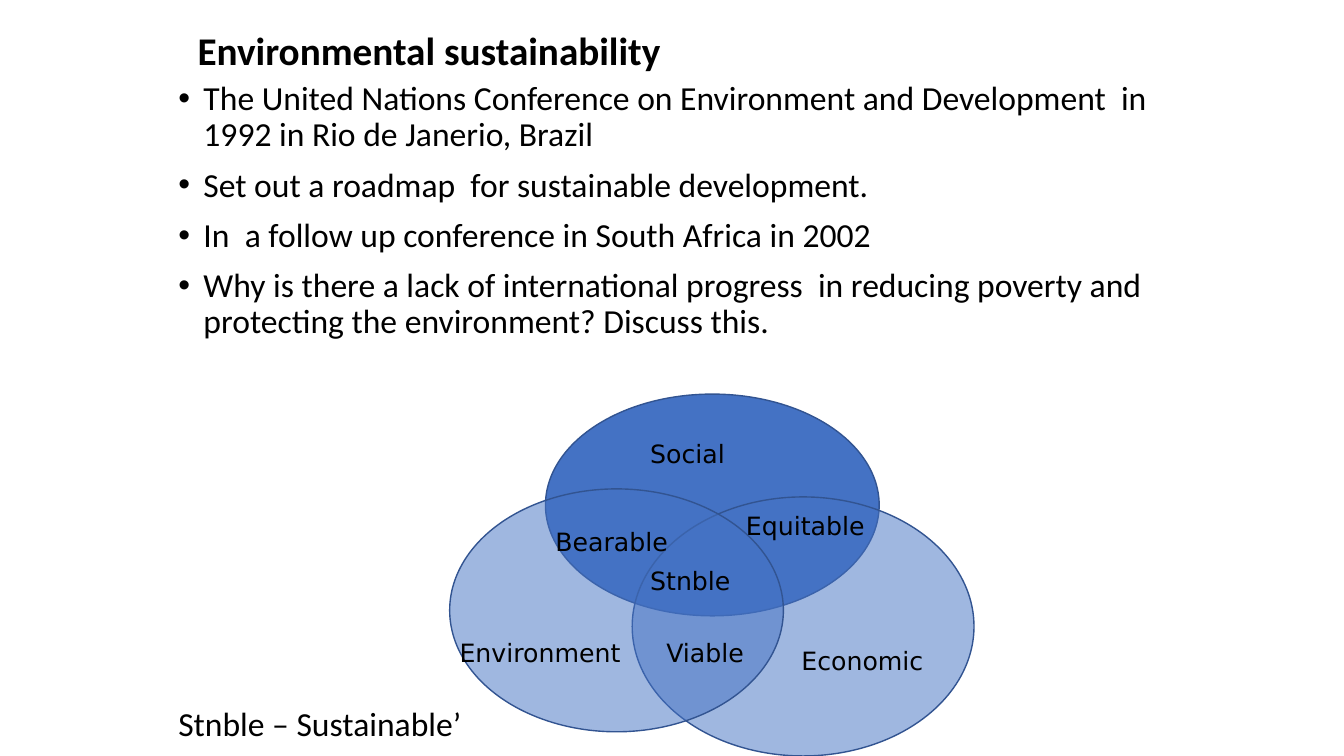
"""Build the environmental sustainability slide with its three-circle diagram."""
from lxml.etree import SubElement
from pptx import Presentation
from pptx.dml.color import RGBColor
from pptx.enum.shapes import MSO_SHAPE
from pptx.enum.text import MSO_ANCHOR, PP_ALIGN
from pptx.oxml.ns import qn
from pptx.util import Inches, Pt

TITLE = "Environmental sustainability"
POINTS = [
    "The United Nations Conference on Environment and Development  in 1992 in Rio de Janerio, Brazil",
    "Set out a roadmap  for sustainable development.",
    "In  a follow up conference in South Africa in 2002",
    "Why is there a lack of international progress  in reducing poverty and "
    "protecting the environment? Discuss this.",
]
NOTE = "Stnble – Sustainable’"
ELLIPSES = [
    ((5.41, 3.91, 3.31, 2.2), 100),
    ((6.27, 4.93, 3.39, 2.57), 51),
    ((4.46, 4.85, 3.31, 2.41), 51),
]
LABELS = [
    ("Social", 6.35, 4.3, 1.34),
    ("Bearable", 5.41, 5.17, 1.34),
    ("Equitable", 7.3, 5.01, 1.5),
    ("Stnble", 6.35, 5.56, 1.02),
    ("Viable", 6.51, 6.27, 1.02),
    ("Environment", 4.46, 6.27, 2.13),
    ("Economic", 7.85, 6.35, 1.42),
]
LABEL_HEIGHT = 0.4
BODY_LEFT, BODY_WIDTH = 1.67, 10
INK, BLUE, OUTLINE = "000000", "4472C4", "325491"


def color(value):
    return RGBColor.from_string(value)


def style(para, size, name="Calibri", bold=False, spacing=0.9):
    para.alignment = PP_ALIGN.LEFT
    para.line_spacing = spacing
    font = para.font
    font.size, font.name, font.bold = Pt(size), name, bold
    font.color.rgb = color(INK)


def add_bullet(para):
    properties = para._p.get_or_add_pPr()
    properties.set("marL", str(Inches(0.25)))
    properties.set("indent", str(-Inches(0.25)))
    SubElement(properties, qn("a:buFont")).set("typeface", "Arial")
    SubElement(properties, qn("a:buChar")).set("char", "•")


def add_text(page, place, lines, size, name="Calibri", bullets=False, spacing=0.9):
    frame = page.shapes.add_textbox(*map(Inches, place)).text_frame
    frame.word_wrap = True
    frame.text = "\n".join(lines)
    for index, para in enumerate(frame.paragraphs):
        if bullets:
            add_bullet(para)
        style(para, size, name, spacing=spacing)
        para.space_before = Pt(10 if index else 0)


def add_title(page):
    title = page.shapes.title
    title.left, title.top, title.width, title.height = map(Inches, (1.86, 0.21, 9.53, 0.63))
    title.text_frame.text = TITLE
    title.text_frame.vertical_anchor = MSO_ANCHOR.MIDDLE
    style(title.text_frame.paragraphs[0], 28, bold=True)


def add_ellipse(page, place, opacity):
    shape = page.shapes.add_shape(MSO_SHAPE.OVAL, *map(Inches, place))
    shape.shadow.inherit = False
    shape.fill.solid()
    shape.fill.fore_color.rgb = color(BLUE)
    shape.line.color.rgb = color(OUTLINE)
    shape.line.width = Pt(1)
    if opacity < 100:
        fill = shape._element.spPr.find(qn("a:solidFill"))
        SubElement(fill[0], qn("a:alpha")).set("val", str(opacity * 1000))


def main():
    deck = Presentation()
    deck.slide_width, deck.slide_height = Inches(13.33), Inches(7.5)
    page = deck.slides.add_slide(deck.slide_layouts[5])
    add_title(page)
    add_text(page, (BODY_LEFT, 0.76, BODY_WIDTH, 2.8), POINTS, 24, bullets=True)
    add_text(page, (BODY_LEFT, 6.97, 3.2, 0.47), [NOTE], 24)
    for place, opacity in ELLIPSES:
        add_ellipse(page, place, opacity)
    for text, left, top, width in LABELS:
        add_text(page, (left, top, width, LABEL_HEIGHT), [text], 18, "DejaVu Sans", spacing=1.0)
    deck.save("out.pptx")


if __name__ == "__main__":
    main()
